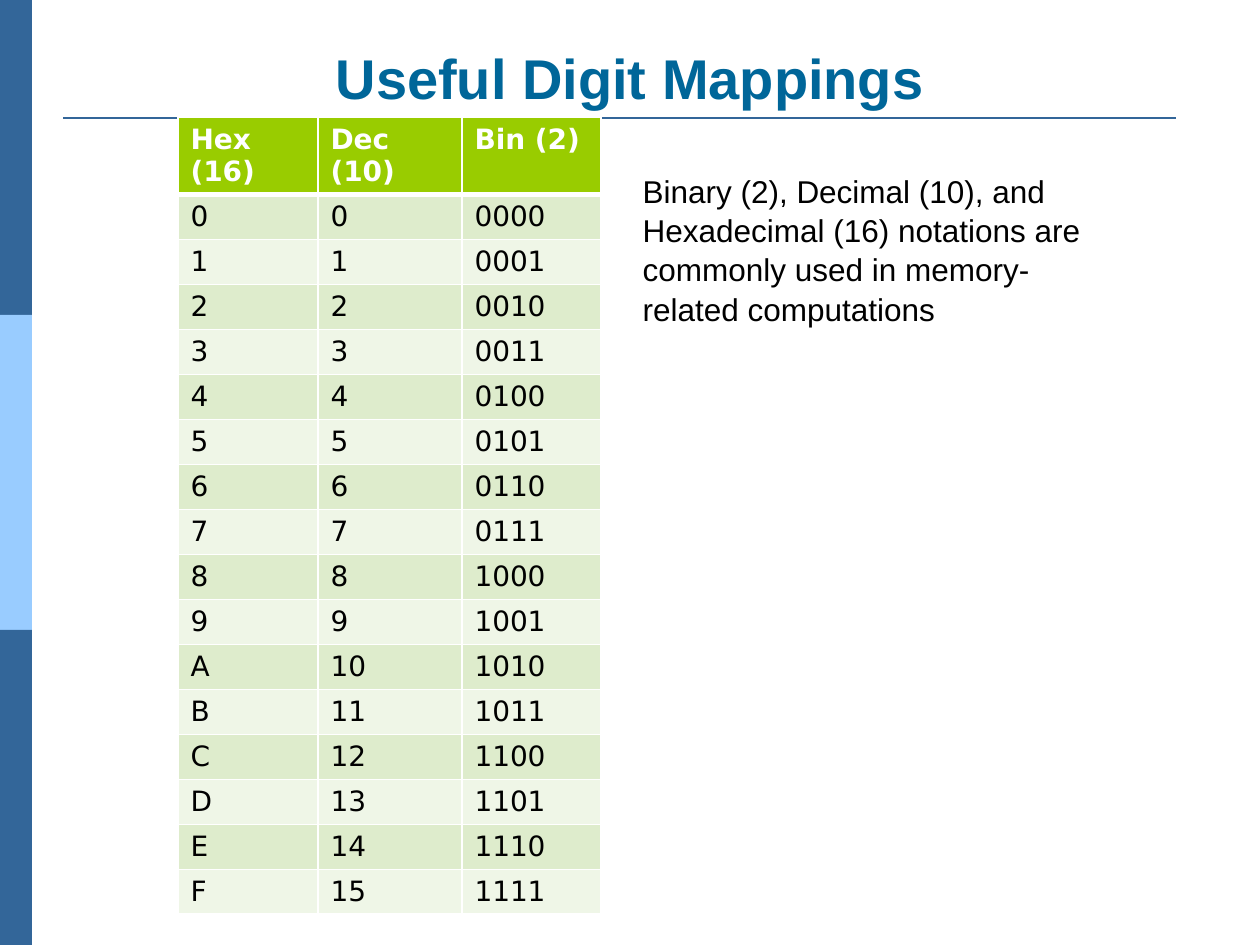
from dataclasses import dataclass
from typing import NamedTuple

from lxml.etree import SubElement
from pptx import Presentation
from pptx.dml.color import RGBColor
from pptx.enum.shapes import MSO_CONNECTOR, MSO_SHAPE
from pptx.enum.text import MSO_ANCHOR, PP_ALIGN
from pptx.oxml import parse_xml
from pptx.oxml.ns import nsdecls, qn
from pptx.util import Emu, Pt

PX = 914400 / 126  # EMU in one px


@dataclass(frozen=True)
class Theme:
    font: str = "Arial"
    table_font: str = "DejaVu Sans"
    title_size: int = 32
    body_size: int = 18
    table_size: int = 16
    title: str = "006699"
    text: str = "000000"
    dark: str = "336699"
    light: str = "99CCFF"
    white: str = "FFFFFF"
    header: str = "99CC00"
    odd: str = "DEECCC"
    even: str = "EFF6E7"


class Box(NamedTuple):
    left: int
    top: int
    width: int
    height: int


class Band(NamedTuple):
    box: Box
    color: str


THEME = Theme()
TITLE_BOX = Box(63, 38, 1134, 79)
BODY_BOX = Box(630, 164, 470, 624)
BAND_W, BAND_H = 32, 315
BANDS = [Band(Box(0, i * BAND_H, BAND_W, BAND_H), color)
         for i, color in enumerate((THEME.dark, THEME.light, THEME.dark))]
TABLE_LEFT, TABLE_TOP, ROW_H = 178, 117, 34
COL_WIDTHS = (140, 144, 139)
HEADERS = ("Hex (16)", "Dec (10)", "Bin (2)")


def emu(px: int) -> Emu:
    return Emu(round(px * PX))


def place(sp, box: Box) -> None:
    for name, value in box._asdict().items():
        setattr(sp, name, emu(value))


def write(tf, text: str, font: str, size: int, color: str, bold: bool = False):
    p = tf.paragraphs[0]
    r = p.add_run()
    r.text = text
    for name, value in {"name": font, "size": Pt(size), "bold": bold}.items():
        setattr(r.font, name, value)
    r.font.color.rgb = RGBColor.from_string(color)
    return p


def draw_band(s, band: Band) -> None:
    sp = s.shapes.add_shape(MSO_SHAPE.RECTANGLE, *map(emu, band.box))
    sp.shadow.inherit = False
    sp.fill.solid()
    sp.fill.fore_color.rgb = RGBColor.from_string(band.color)
    sp.line.fill.background()


def draw_rule(s, left: int, right: int, y: int) -> None:
    line = s.shapes.add_connector(MSO_CONNECTOR.STRAIGHT,
                                  emu(left), emu(y), emu(right), emu(y))
    line.line.color.rgb = RGBColor.from_string(THEME.dark)
    line.line.width = Pt(1.5)
    SubElement(line._element.spPr, qn("a:effectLst"))


def style_cell(cell, fill: str, bottom: int) -> None:
    cell.fill.solid()
    cell.fill.fore_color.rgb = RGBColor.from_string(fill)
    tc_pr = cell._tc.get_or_add_tcPr()
    widths = {"lnL": 1, "lnR": 1, "lnT": 1, "lnB": bottom}
    for i, (tag, width) in enumerate(widths.items()):
        tc_pr.insert(i, parse_xml(
            f'<a:{tag} {nsdecls("a")} w="{Pt(width)}"><a:solidFill>'
            f'<a:srgbClr val="{THEME.white}"/></a:solidFill></a:{tag}>'))


def draw_table(s) -> None:
    rows = [HEADERS] + [(f"{n:X}", str(n), f"{n:04b}") for n in range(16)]
    table = s.shapes.add_table(
        len(rows), len(HEADERS), emu(TABLE_LEFT), emu(TABLE_TOP),
        emu(sum(COL_WIDTHS)), emu(ROW_H * len(rows))).table
    for col, width in zip(table.columns, COL_WIDTHS):
        col.width = emu(width)
    for i, row in enumerate(rows):
        head = i == 0
        fill = THEME.header if head else THEME.odd if i % 2 else THEME.even
        color = THEME.white if head else THEME.text
        for j, text in enumerate(row):
            cell = table.cell(i, j)
            write(cell.text_frame, text, THEME.table_font, THEME.table_size, color, head)
            # The thick line under the header belongs to the header row
            style_cell(cell, fill, 3 if head else 1)


def main() -> None:
    prs = Presentation()
    prs.slide_width, prs.slide_height = emu(1260), emu(945)
    s = prs.slides.add_slide(prs.slide_layouts[1])

    # Side bands and title rule
    for band in BANDS:
        draw_band(s, band)
    draw_rule(s, 63, 1176, 118)

    # Title
    title = s.shapes.title
    place(title, TITLE_BOX)
    title.text_frame.vertical_anchor = MSO_ANCHOR.BOTTOM
    p = write(title.text_frame, "Useful Digit Mappings", THEME.font,
              THEME.title_size, THEME.title, True)
    p.alignment = PP_ALIGN.CENTER

    # Explanation, without bullet
    body = s.placeholders[1]
    place(body, BODY_BOX)
    p = write(body.text_frame,
              "Binary (2), Decimal (10), and Hexadecimal (16) notations are "
              "commonly used in memory-related computations",
              THEME.font, THEME.body_size, THEME.text)
    p.line_spacing, p.space_before = 1.04, Pt(6.3)
    p_pr = p._p.get_or_add_pPr()
    for name in ("marL", "indent"):
        p_pr.set(name, "0")
    SubElement(p_pr, qn("a:buNone"))

    # Digit table
    draw_table(s)
    prs.save("out.pptx")


if __name__ == "__main__":
    main()
